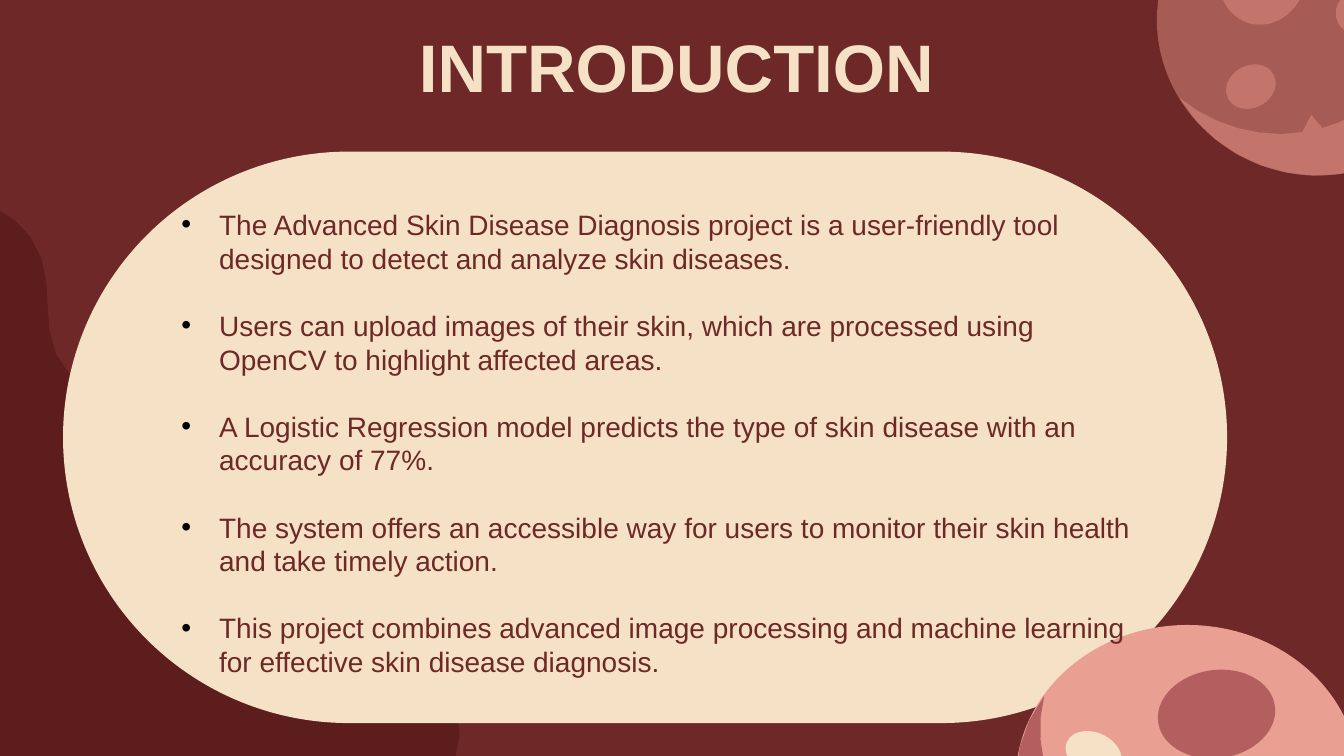
"""Build the introduction slide of a skin disease diagnosis deck."""
from math import ceil, dist

from lxml import etree
from pptx import Presentation
from pptx.dml.color import RGBColor
from pptx.enum.shapes import MSO_SHAPE
from pptx.enum.text import PP_ALIGN
from pptx.oxml.ns import qn
from pptx.util import Pt

ROUND, OVAL = MSO_SHAPE.ROUNDED_RECTANGLE, MSO_SHAPE.OVAL
CENTER = PP_ALIGN.CENTER
HUES = {"wine": "6D2827", "dark": "5C1D1C", "cream": "F5E1C5", "pink": "E99F91",
        "rose": "B45F5F", "coral": "E08F84", "black": "000000"}
UNITS = 7200


def paint(shape, hue, alpha=100):
    shape.shadow.inherit = False
    shape.fill.solid()
    shape.fill.fore_color.rgb = RGBColor.from_string(HUES[hue])
    shape.line.fill.background()
    if alpha < 100:
        tone = shape.fill._xPr.find(qn("a:solidFill"))[0]
        etree.SubElement(tone, qn("a:alpha"), val=str(alpha * 1000))


def curve(start, parts, hue, alpha=100):
    x, y = start
    dots = []
    for a, b, c, d, p, q in parts:
        steps = ceil(4 * dist((x, y), (p, q)))
        for step in range(1, steps + 1):
            t = step / steps
            u = 1 - t
            dots.append(tuple(
                UNITS * (u**3 * k + 3 * u * u * t * l + 3 * u * t * t * m + t**3 * n)
                for k, l, m, n in ((x, a, c, p), (y, b, d, q))))
        x, y = p, q
    pen = shapes.build_freeform(start[0] * UNITS, start[1] * UNITS, scale=Pt(72) / UNITS)
    pen.add_line_segments(dots, close=True)
    paint(pen.convert_to_shape(), hue, alpha)


deck = Presentation()
deck.slide_width, deck.slide_height = Pt(960), Pt(540)
slide = deck.slides.add_slide(deck.slide_layouts[6])
shapes = slide.shapes
slide.background.fill.solid()
slide.background.fill.fore_color.rgb = RGBColor.from_string(HUES["wine"])

curve((-1.07, 1.93), [
    (-0.97, 1.9, -0.86, 1.89, -0.74, 1.9), (-0.28, 1.91, 0.25, 2.09, 0.41, 2.56),
    (0.52, 2.87, 0.42, 3.23, 0.56, 3.52), (0.82, 4.06, 1.72, 4.07, 1.93, 4.63),
    (1.96, 4.74, 1.97, 4.86, 1.97, 4.98), (1.97, 5.06, 1.97, 5.15, 1.97, 5.23),
    (1.97, 5.42, 1.99, 5.6, 2.12, 5.72), (2.26, 5.85, 2.47, 5.87, 2.65, 5.84),
    (2.84, 5.82, 3.03, 5.77, 3.21, 5.8), (3.5, 5.83, 3.73, 6.04, 3.94, 6.24),
    (4.24, 6.53, 4.56, 6.87, 4.56, 7.27), (4.55, 7.45, 4.51, 7.57, 4.44, 7.68),
    (2.6, 7.68, 0.77, 7.68, -1.07, 7.68)], "dark")

panel = shapes.add_shape(ROUND, Pt(45), Pt(108.3), Pt(831.5), Pt(408.2))
panel.adjustments[0] = 0.5
paint(panel, "cream")

title = shapes.add_textbox(Pt(290.2), Pt(14.4), Pt(386), Pt(65.5)).text_frame
title.word_wrap = True
head = title.paragraphs[0]
head.text = "INTRODUCTION"
head.alignment = CENTER
head.font.name, head.font.size, head.font.bold = "Arial", Pt(48), True
head.font.color.rgb = RGBColor.from_string(HUES["cream"])

ovals = [
    (848.2, 557.3, 245.5, 221.8, 0, "pink", 100),
    (869, 510.1, 84.2, 63, -8, "rose", 100),
    (781.2, 538.6, 41.8, 30.5, 25, "cream", 100),
    (936, 19.4, 209.5, 221.8, 297.1, "coral", 50),
    (902.2, -18, 62.6, 72, 16, "coral", 50),
    (965.9, 9.4, 23.5, 27.4, 0, "coral", 50),
    (893.5, 61.9, 36.7, 30.2, -28, "coral", 50),
]
for mid, level, wide, high, turn, hue, alpha in ovals:
    oval = shapes.add_shape(OVAL, Pt(mid - wide / 2), Pt(level - high / 2), Pt(wide), Pt(high))
    oval.rotation = turn
    paint(oval, hue, alpha)

curve((10.36, 6.9), [
    (9.77, 7.7, 10.14, 8.79, 11.12, 9.16), (11.34, 9.24, 11.56, 9.28, 11.78, 9.28),
    (12.55, 9.28, 13.27, 8.8, 13.45, 8.07), (13.13, 8.51, 12.59, 8.76, 12.02, 8.76),
    (11.6, 8.76, 11.1, 8.65, 10.8, 8.3), (10.7, 8.2, 10.6, 8.09, 10.52, 7.96),
    (10.33, 7.64, 10.27, 7.26, 10.36, 6.9)], "rose")
curve((11.7, 0.97), [
    (12.19, 1.78, 13.29, 1.99, 14.01, 1.42), (14.16, 1.29, 14.29, 1.14, 14.37, 0.97),
    (14.67, 0.39, 14.52, -0.38, 13.94, -0.85), (14.21, -0.4, 14.23, 0.13, 14.01, 0.56),
    (13.96, 0.64, 13.91, 0.73, 13.84, 0.8), (13.82, 0.73, 13.78, 0.66, 13.7, 0.63),
    (13.59, 0.58, 13.45, 0.65, 13.38, 0.78), (13.32, 0.94, 13.35, 1.07, 13.43, 1.14),
    (13.33, 1.2, 13.23, 1.24, 13.12, 1.27), (13.12, 1.19, 13.07, 1.14, 13.01, 1.14),
    (12.92, 1.14, 12.9, 1.24, 12.92, 1.31), (12.85, 1.32, 12.78, 1.33, 12.71, 1.33),
    (12.34, 1.33, 11.98, 1.2, 11.7, 0.97)], "coral", 50)

points = [
    "The Advanced Skin Disease Diagnosis project is a user-friendly tool designed to "
    "detect and analyze skin diseases.",
    "Users can upload images of their skin, which are processed using OpenCV to "
    "highlight affected areas.",
    "A Logistic Regression model predicts the type of skin disease with an accuracy of 77%.",
    "The system offers an accessible way for users to monitor their skin health and take "
    "timely action.",
    "This project combines advanced image processing and machine learning for effective "
    "skin disease diagnosis.",
]
body = shapes.add_textbox(Pt(122.4), Pt(144.7), Pt(697.7), Pt(346.3)).text_frame
body.word_wrap = True
for i, text in enumerate(points):
    para = body.paragraphs[0] if i == 0 else body.add_paragraph()
    para.text = text
    props = para._p.get_or_add_pPr()
    props.set("marL", str(Pt(27)))
    props.set("indent", str(Pt(-27)))
    tint = etree.SubElement(props, qn("a:buClr"))
    etree.SubElement(tint, qn("a:srgbClr"), val=HUES["black"])
    etree.SubElement(props, qn("a:buFont"), typeface="Arial")
    etree.SubElement(props, qn("a:buChar"), char="•")
    if i:
        para.space_before = Pt(24)
    para.font.name, para.font.size = "Arial", Pt(20)
    para.font.color.rgb = RGBColor.from_string(HUES["wine"])

deck.save("out.pptx")
